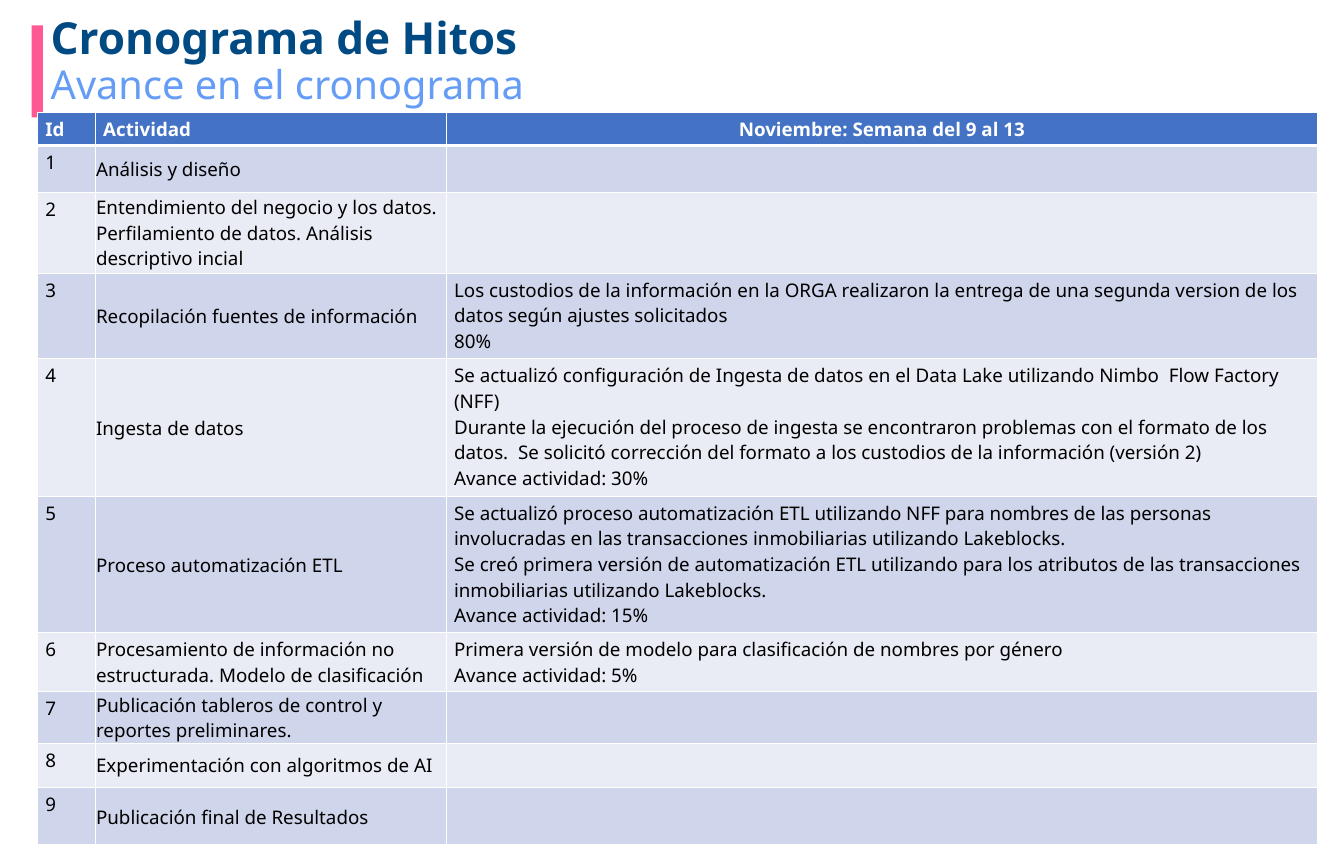
"""Build the milestone schedule slide with its weekly progress table."""
from dataclasses import dataclass

from lxml.etree import SubElement
from pptx import Presentation
from pptx.dml.color import RGBColor
from pptx.enum.shapes import MSO_SHAPE
from pptx.enum.text import MSO_ANCHOR, PP_ALIGN
from pptx.oxml.ns import qn
from pptx.slide import Slide
from pptx.table import Table, _Cell as Cell
from pptx.util import Inches, Pt

FONT = "Noto Sans"
PINK = RGBColor(0xFF, 0x59, 0x93)
NAVY = RGBColor(0x00, 0x4A, 0x84)
SKY = RGBColor(0x64, 0x9C, 0xF6)
HEADER_BLUE = RGBColor(0x44, 0x72, 0xC4)
BAND_DARK = RGBColor(0xCF, 0xD5, 0xEA)
BAND_LIGHT = RGBColor(0xE9, 0xEB, 0xF5)
WHITE = RGBColor(0xFF, 0xFF, 0xFF)
BLACK = RGBColor(0x00, 0x00, 0x00)

COLUMN_WIDTHS = (0.73, 4.42, 10.98)
HEADER_HEIGHT = 0.41
HEADERS = ("Id", "Actividad", "Noviembre: Semana del 9 al 13")


@dataclass(frozen=True)
class Heading:
    text: str
    top: float
    width: float
    height: float
    size: int
    color: RGBColor
    bold: bool


@dataclass(frozen=True)
class Milestone:
    activity: str
    height: float
    progress: tuple[str, ...] = ()


TITLE = Heading("Cronograma de Hitos", 0.21, 15.99, 0.55, 40, NAVY, True)
SUBTITLE = Heading("Avance en el cronograma", 0.82, 13.08, 0.75, 36, SKY, False)

MILESTONES = (
    Milestone("Análisis y diseño", 0.59),
    Milestone("Entendimiento del negocio y los datos. Perfilamiento de datos. "
              "Análisis descriptivo incial", 1.02),
    Milestone("Recopilación fuentes de información", 1.08, (
        "Los custodios de la información en la ORGA realizaron la entrega de una "
        "segunda version de los datos según ajustes solicitados",
        "80%")),
    Milestone("Ingesta de datos", 1.73, (
        "Se actualizó configuración de Ingesta de datos en el Data Lake utilizando "
        "Nimbo  Flow Factory (NFF)",
        "Durante la ejecución del proceso de ingesta se encontraron problemas con el "
        "formato de los datos.  Se solicitó corrección del formato a los custodios de "
        "la información (versión 2)",
        "Avance actividad: 30%")),
    Milestone("Proceso automatización ETL", 1.72, (
        "Se actualizó proceso automatización ETL utilizando NFF para nombres de las "
        "personas involucradas en las transacciones inmobiliarias utilizando Lakeblocks.",
        "Se creó primera versión de automatización ETL utilizando para los atributos de "
        "las transacciones inmobiliarias utilizando Lakeblocks.",
        "Avance actividad: 15%")),
    Milestone("Procesamiento de información no estructurada. Modelo de clasificación", 0.74, (
        "Primera versión de modelo para clasificación de nombres por género",
        "Avance actividad: 5%")),
    Milestone("Publicación tableros de control y reportes preliminares.", 0.65),
    Milestone("Experimentación con algoritmos de AI", 0.56),
    Milestone("Publicación final de Resultados", 0.74),
)


def add_accent_bar(slide: Slide) -> None:
    bar = slide.shapes.add_shape(
        MSO_SHAPE.RECTANGLE, Inches(0.4), Inches(0.32), Inches(0.14), Inches(1.16))
    bar.shadow.inherit = False
    bar.fill.solid()
    bar.fill.fore_color.rgb = PINK
    bar.line.fill.background()


def add_heading(slide: Slide, heading: Heading) -> None:
    box = slide.shapes.add_textbox(
        Inches(0.54), Inches(heading.top), Inches(heading.width), Inches(heading.height))
    frame = box.text_frame
    frame.word_wrap = True
    frame.margin_top = frame.margin_bottom = 0
    paragraph = frame.paragraphs[0]
    paragraph.text = heading.text
    paragraph.line_spacing = 0.9
    paragraph.font.name = FONT
    paragraph.font.size = Pt(heading.size)
    paragraph.font.bold = heading.bold
    paragraph.font.color.rgb = heading.color


def set_borders(cell: Cell, top: int, bottom: int) -> None:
    properties = cell._tc.get_or_add_tcPr()
    for tag, width in (("a:lnL", 1), ("a:lnR", 1), ("a:lnT", top), ("a:lnB", bottom)):
        line = SubElement(properties, qn(tag), w=str(Pt(width)))
        SubElement(SubElement(line, qn("a:solidFill")), qn("a:srgbClr"), val=str(WHITE))


def fill_cell(cell: Cell, lines: tuple[str, ...], fill: RGBColor, color: RGBColor,
              bold: bool = False) -> None:
    cell.fill.solid()
    cell.fill.fore_color.rgb = fill
    cell.text = "\n".join(lines)
    for paragraph in cell.text_frame.paragraphs:
        paragraph.font.name = FONT
        paragraph.font.size = Pt(17)
        paragraph.font.bold = bold
        paragraph.font.color.rgb = color


def fill_header(table: Table) -> None:
    table.rows[0].height = Inches(HEADER_HEIGHT)
    for cell, text in zip(table.rows[0].cells, HEADERS):
        set_borders(cell, top=1, bottom=3)
        fill_cell(cell, (text,), HEADER_BLUE, WHITE, bold=True)
    table.cell(0, 2).text_frame.paragraphs[0].alignment = PP_ALIGN.CENTER


def fill_milestone(table: Table, number: int, milestone: Milestone) -> None:
    row = table.rows[number]
    row.height = Inches(milestone.height)
    band = BAND_DARK if number % 2 else BAND_LIGHT
    contents = ((str(number),), (milestone.activity,), milestone.progress)
    for cell, lines in zip(row.cells, contents):
        set_borders(cell, top=3 if number == 1 else 1, bottom=1)
        fill_cell(cell, lines, band, BLACK)
    activity = row.cells[1]
    activity.vertical_anchor = MSO_ANCHOR.MIDDLE
    activity.margin_left = activity.margin_top = activity.margin_right = Inches(0.01)
    activity.margin_bottom = 0


def add_schedule(slide: Slide) -> None:
    height = HEADER_HEIGHT + sum(milestone.height for milestone in MILESTONES)
    table = slide.shapes.add_table(
        len(MILESTONES) + 1, len(COLUMN_WIDTHS), Inches(0.47), Inches(1.42),
        Inches(sum(COLUMN_WIDTHS)), Inches(height)).table
    for column, width in zip(table.columns, COLUMN_WIDTHS):
        column.width = Inches(width)
    fill_header(table)
    for number, milestone in enumerate(MILESTONES, start=1):
        fill_milestone(table, number, milestone)


def main() -> None:
    presentation = Presentation()
    presentation.slide_width = Inches(16.93)
    presentation.slide_height = Inches(10.63)
    slide = presentation.slides.add_slide(presentation.slide_layouts[6])
    add_accent_bar(slide)
    add_heading(slide, TITLE)
    add_schedule(slide)
    add_heading(slide, SUBTITLE)
    presentation.save("out.pptx")


if __name__ == "__main__":
    main()
